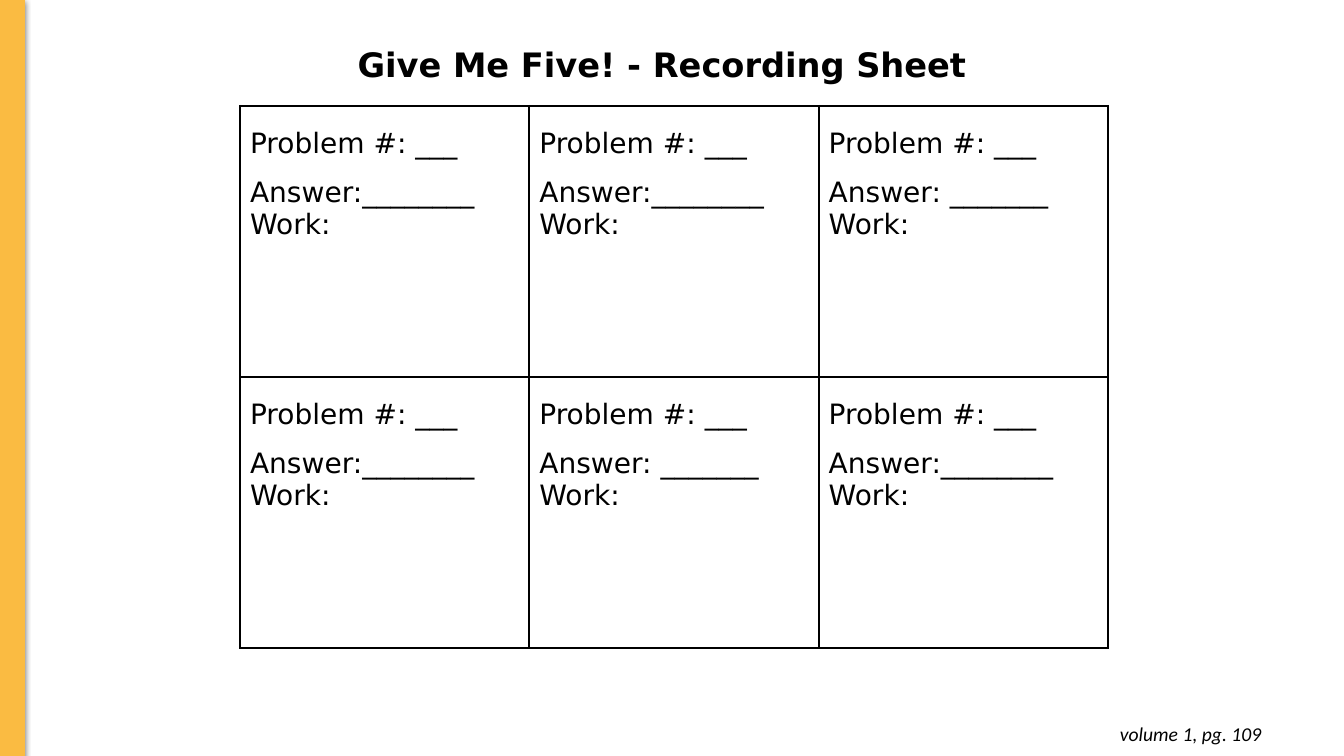
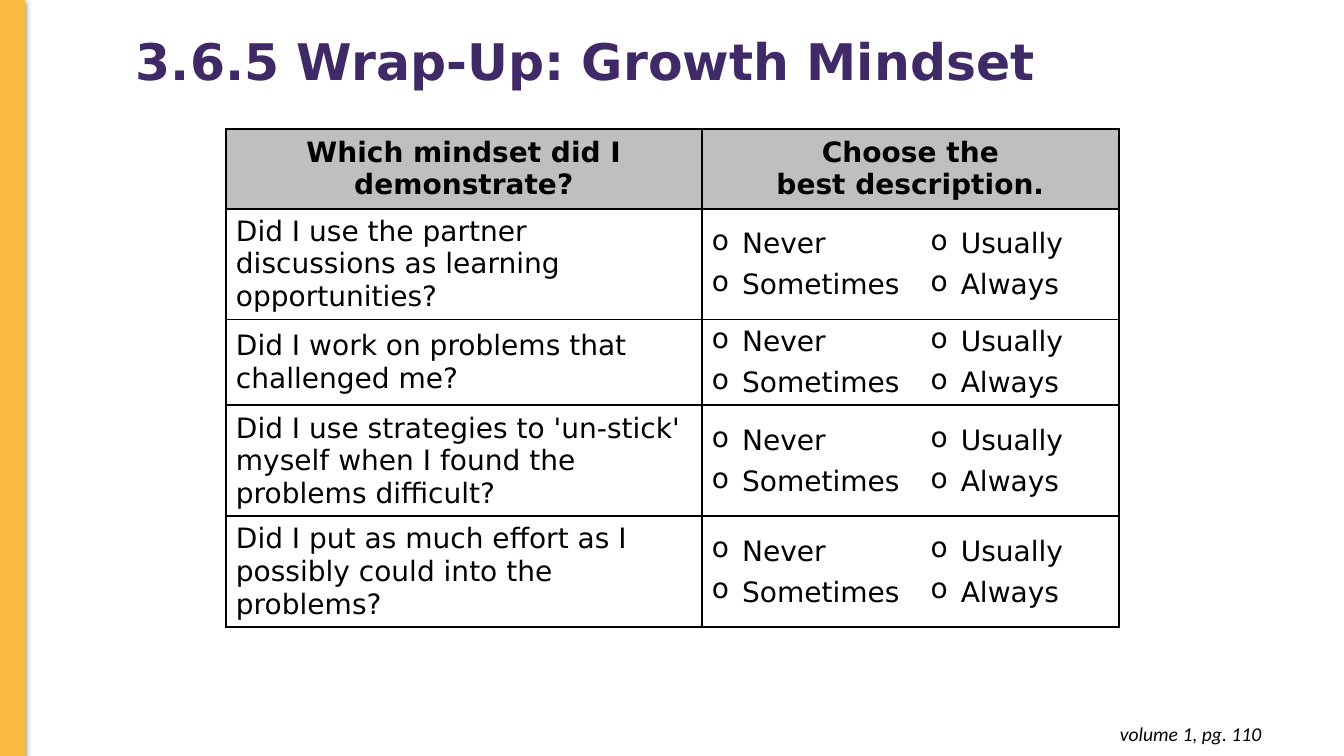
from lxml import etree
from pptx import Presentation
from pptx import util as u
from pptx.dml.color import RGBColor
from pptx.enum import shapes, text
from pptx.oxml.ns import qn

SCALE = 9144  # EMU in one px, 100 px to the inch
BLACK = RGBColor(0x00, 0x00, 0x00)
GOLD = RGBColor(0xFA, 0xBB, 0x42)
PURPLE = RGBColor(0x3F, 0x2A, 0x67)
GRAY = RGBColor(0xBF, 0xBF, 0xBF)
SANS, SERIF = "DejaVu Sans", "Calibri"
LEFT, MID, RIGHT = text.PP_ALIGN.LEFT, text.PP_ALIGN.CENTER, text.PP_ALIGN.RIGHT
TOP, CENTER = text.MSO_ANCHOR.TOP, text.MSO_ANCHOR.MIDDLE


def px(n):
    return u.Emu(n * SCALE)


def sub(node, tag, **attrs):
    return etree.SubElement(node, qn(tag), attrs)


class Deck:
    def __init__(self):
        self.prs = Presentation()
        self.prs.slide_width, self.prs.slide_height = px(1333), px(750)
        self.slide = None

    def page(self, foot):
        """Start a slide with the side band and the page note."""
        self.slide = self.prs.slides.add_slide(self.prs.slide_layouts[6])
        self.band(0, 0, 24, 751)
        self.label(foot, (973, 706, 288, 44), 14, align=RIGHT, font=SERIF,
                   italic=True, pad=10)

    def band(self, *box):
        bar = self.slide.shapes.add_shape(shapes.MSO_SHAPE.RECTANGLE, *map(px, box))
        bar.fill.solid()
        bar.fill.fore_color.rgb = GOLD
        bar.line.color.rgb = GOLD
        bar.line.width = u.Pt(0.75)
        bar.shadow.inherit = False
        glow = bar.element.spPr.find(qn("a:effectLst"))
        cast = sub(glow, "a:outerShdw", blurRad=str(u.Pt(4.5)),
                   dist=str(u.Pt(1.5)), dir="5400000", rotWithShape="0")
        tint = sub(cast, "a:srgbClr", val=str(BLACK))
        sub(tint, "a:alpha", val="50000")

    def run(self, para, words, size, color=BLACK, font=SANS, bold=False, italic=False):
        run = para.add_run()
        run.text = words
        face = run.font
        face.name, face.size, face.bold, face.italic = font, u.Pt(size), bold, italic
        face.color.rgb = color

    def label(self, words, box, size, align=LEFT, anchor=TOP, pad=5, space=None, **style):
        frame = self.slide.shapes.add_textbox(*map(px, box)).text_frame
        frame.word_wrap = True
        frame.auto_size = text.MSO_AUTO_SIZE.SHAPE_TO_FIT_TEXT
        frame.vertical_anchor = anchor
        frame.margin_left = frame.margin_right = px(10)
        frame.margin_top = frame.margin_bottom = px(pad)
        para = frame.paragraphs[0]
        para.alignment = align
        para.line_spacing = space
        self.run(para, words, size, **style)

    def table(self, left, top, cols, rows):
        grid = self.slide.shapes.add_table(
            len(rows), len(cols), px(left), px(top), px(sum(cols)), px(sum(rows))).table
        grid.first_row = grid.horz_banding = False
        for col, size in zip(grid.columns, cols):
            col.width = px(size)
        for row, size in zip(grid.rows, rows):
            row.height = px(size)
        return grid

    def cell(self, cell, lines, anchor=TOP, align=LEFT, fill=None, bold=False,
             sides="LRTB", spaces=(), bullet=False):
        """Fill a cell; only the named sides get a border."""
        cell.vertical_anchor = anchor
        props = cell._tc.get_or_add_tcPr()
        for side in "LRTB":
            edge = sub(props, "a:ln" + side, w=str(u.Pt(1.5)))
            if side in sides:
                sub(sub(edge, "a:solidFill"), "a:srgbClr", val=str(BLACK))
            else:
                sub(edge, "a:noFill")
        if fill is None:
            cell.fill.background()
        else:
            cell.fill.solid()
            cell.fill.fore_color.rgb = fill
        frame = cell.text_frame
        for i, words in enumerate(lines):
            para = frame.add_paragraph() if i else frame.paragraphs[0]
            if bullet:
                self.bullet(para)
                if i < len(lines) - 1:
                    para.space_after = u.Pt(6)
            if i < len(spaces):
                para.line_spacing = spaces[i]
            para.alignment = align
            self.run(para, words, 20, bold=bold)

    def bullet(self, para):
        props = para._p.get_or_add_pPr()
        props.set("marL", str(px(30)))
        props.set("indent", str(px(-30)))
        sub(sub(props, "a:buClr"), "a:srgbClr", val=str(BLACK))
        sub(props, "a:buChar", char="o")


def record(deck):
    deck.page("volume 1, pg. 109")
    deck.label("Give Me Five! - Recording Sheet", (225, 39, 863, 50), 24,
               align=MID, bold=True)
    tight, loose = "Answer:________", "Answer: _______"
    answers = [[tight, tight, loose], [tight, loose, tight]]
    grid = deck.table(238, 105, [287] * 3, [269] * 2)
    for r, row in enumerate(answers):
        for c, answer in enumerate(row):
            deck.cell(grid.cell(r, c), ["Problem #: ___", answer, "Work:"],
                      spaces=(1.5, 1.5))


def wrap_up(deck):
    deck.page("volume 1, pg. 110")
    asks = [
        "Did I use the partner discussions as learning opportunities?",
        "Did I work on problems that challenged me?",
        "Did I use strategies to 'un-stick' myself when I found the problems difficult?",
        "Did I put as much effort as I possibly could into the problems?",
    ]
    grid = deck.table(224, 128, [472, 217, 197], [79, 110, 84, 110, 110])
    # Heading row, its last two cells joined
    grid.cell(0, 1).merge(grid.cell(0, 2))
    heads = [["Which mindset did I demonstrate?"],
             ["Choose the", "best description."], []]
    for c, lines in enumerate(heads):
        deck.cell(grid.cell(0, c), lines, CENTER, MID, GRAY, bold=True)
    # Questions and choices
    for r, ask in enumerate(asks, 1):
        deck.cell(grid.cell(r, 0), [ask], CENTER)
        deck.cell(grid.cell(r, 1), ["Never", "Sometimes"], CENTER, sides="LTB", bullet=True)
        deck.cell(grid.cell(r, 2), ["Usually", "Always"], CENTER, sides="RTB", bullet=True)
    deck.label("3.6.5 Wrap-Up: Growth Mindset", (125, 31, 1167, 65), 36,
               anchor=CENTER, space=0.9, color=PURPLE, bold=True)


def main():
    deck = Deck()
    record(deck)
    wrap_up(deck)
    deck.prs.save("out.pptx")


if __name__ == "__main__":
    main()
